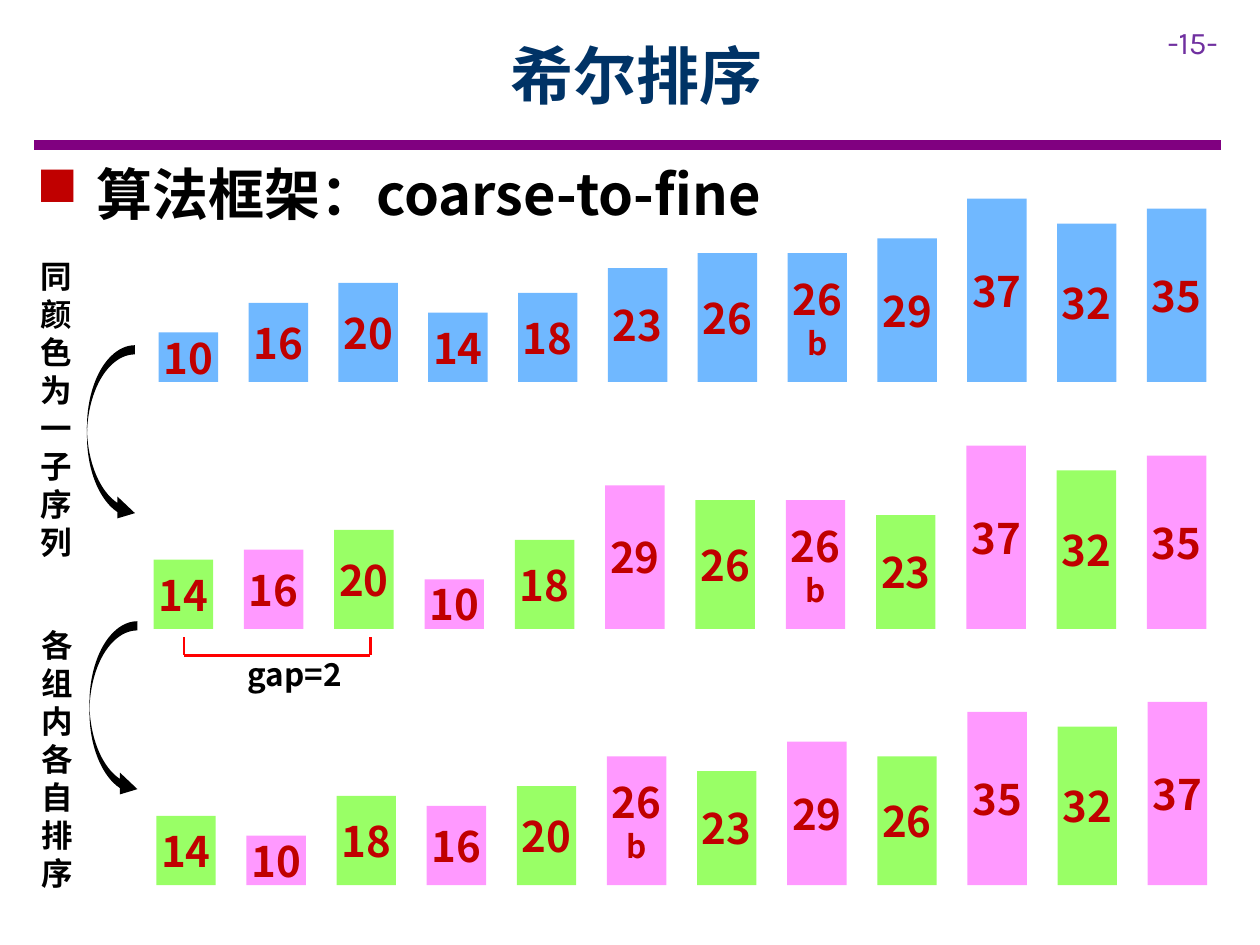
"""Build the Shell sort slide with three rows of value bars."""
from lxml import etree
from pptx import Presentation
from pptx.dml.color import RGBColor
from pptx.enum import shapes, text
from pptx.oxml import ns
from pptx.util import Pt

PURPLE = RGBColor(0x80, 0x00, 0x80)
VIOLET = RGBColor(0x70, 0x30, 0xA0)
NAVY = RGBColor(0x00, 0x33, 0x66)
BLACK = RGBColor(0x00, 0x00, 0x00)
CRIMSON = RGBColor(0xC0, 0x00, 0x00)
RED = RGBColor(0xFF, 0x00, 0x00)
BLUE = RGBColor(0x70, 0xB8, 0xFF)
GREEN = RGBColor(0x99, 0xFF, 0x66)
PINK = RGBColor(0xFF, 0x99, 0xFF)

FONT = "Noto Sans CJK SC"
BAR_WIDTH = 34
POINTS_PER_UNIT = 2.83
ROWS = [
    (90.7, 51.33, 218.3, [BLUE],
     "10 16 20 14 18 23 26 26b 29 37 32 35"),
    (87.8, 51.6, 359.4, [GREEN, PINK],
     "14 16 20 10 18 29 26 26b 23 37 32 35"),
    (89.3, 51.5, 505.8, [GREEN, PINK],
     "14 10 18 16 20 26b 23 29 26 35 32 37"),
]


def write(paragraph, content, size=18, color=BLACK, bold=True, font=FONT,
          align=text.PP_ALIGN.LEFT, spacing=None):
    """Put formatted text into a paragraph."""
    paragraph.alignment = align
    if spacing:
        paragraph.line_spacing = Pt(spacing)
    run = paragraph.add_run()
    run.text = content
    run.font.size = Pt(size)
    run.font.bold = bold
    run.font.name = font
    run.font.color.rgb = color
    east_asian = etree.SubElement(run.font._element, ns.qn("a:ea"))
    east_asian.set("typeface", font)


def add_text(slide, left, top, width, height, content, wrap=True,
             anchor=text.MSO_ANCHOR.TOP, **style):
    """Add a text box and return its paragraph."""
    frame = slide.shapes.add_textbox(
        Pt(left), Pt(top), Pt(width), Pt(height)).text_frame
    frame.word_wrap = wrap
    frame.vertical_anchor = anchor
    write(frame.paragraphs[0], content, **style)
    return frame.paragraphs[0]


def add_bullet(paragraph, indent, color):
    """Give a paragraph a square bullet with a hanging indent."""
    properties = paragraph._p.get_or_add_pPr()
    properties.set("marL", str(Pt(indent)))
    properties.set("indent", str(-Pt(indent)))
    bullet_color = etree.SubElement(properties, ns.qn("a:buClr"))
    etree.SubElement(bullet_color, ns.qn("a:srgbClr")).set("val", str(color))
    etree.SubElement(properties, ns.qn("a:buChar")).set("char", "■")


def add_line(slide, start, end, color, width):
    """Add a straight line between two points."""
    line = slide.shapes.add_connector(
        shapes.MSO_CONNECTOR.STRAIGHT, *map(Pt, start + end))
    line.line.color.rgb = color
    line.line.width = Pt(width)
    etree.SubElement(line._element.spPr, ns.qn("a:effectLst"))


def add_filled(slide, kind, left, top, width, height, color):
    """Add a preset shape with a plain fill and no outline."""
    shape = slide.shapes.add_shape(
        kind, Pt(left), Pt(top), Pt(width), Pt(height))
    shape.shadow.inherit = False
    shape.fill.solid()
    shape.fill.fore_color.rgb = color
    shape.line.fill.background()
    return shape


def add_bar(slide, left, base, label, color):
    """Add a bar whose height follows its value."""
    value = label.rstrip("b")
    height = int(value) * POINTS_PER_UNIT
    bar = add_filled(slide, shapes.MSO_SHAPE.RECTANGLE, left, base - height,
                     BAR_WIDTH, height, color)
    frame = bar.text_frame
    frame.word_wrap = True
    frame.vertical_anchor = text.MSO_ANCHOR.MIDDLE
    frame.margin_left = frame.margin_right = 0
    frame.margin_top = frame.margin_bottom = Pt(7.2)
    style = {"color": CRIMSON, "align": text.PP_ALIGN.CENTER}
    write(frame.paragraphs[0], value, size=24, **style)
    if label != value:
        write(frame.add_paragraph(), "b", size=18, **style)


def add_row(slide, left, pitch, base, colors, labels):
    """Add a row of evenly spaced bars with cycling colours."""
    for index, label in enumerate(labels.split()):
        add_bar(slide, left + index * pitch, base, label,
                colors[index % len(colors)])


def add_step(slide, arrow_left, arrow_top, label_left, label_top, label):
    """Add a curved arrow with a vertical label."""
    arrow = add_filled(slide, shapes.MSO_SHAPE.CURVED_RIGHT_ARROW,
                       arrow_left, arrow_top, 27.4, 102.2, BLACK)
    for index, value in enumerate((0.191, 0.456, 0.366)):
        arrow.adjustments[index] = value
    add_text(slide, label_left, label_top, 37.4, 7.2 + 21.7 * len(label),
             label, spacing=21.7)


def add_gap_bracket(slide, left, right, top, bottom):
    """Add the bracket that marks the gap, with its label."""
    add_line(slide, (left, bottom), (right, bottom), RED, 1.5)
    for side in (left, right):
        add_line(slide, (side, bottom), (side, top), RED, 1.5)
    add_text(slide, 134.6, 370.8, 74.2, 28.8, "gap=2", wrap=False)


def main():
    """Build and save the slide."""
    presentation = Presentation()
    presentation.slide_width, presentation.slide_height = Pt(720), Pt(540)
    slide = presentation.slides.add_slide(presentation.slide_layouts[6])
    add_line(slide, (19.6, 82.8), (697.7, 82.8), PURPLE, 6)
    add_text(slide, 660.2, 9.4, 59.8, 28.8, "-15-",
             color=VIOLET, bold=False, font="Karla")
    add_text(slide, 64.8, 6.5, 598.3, 72, "希尔排序", size=36, color=NAVY,
             align=text.PP_ALIGN.CENTER, anchor=text.MSO_ANCHOR.MIDDLE)
    heading = add_text(slide, 13.7, 87.8, 686.9, 46.1,
                       " 算法框架：coarse-to-fine", size=32)
    add_bullet(heading, 27, CRIMSON)
    add_step(slide, 49.7, 197.3, 15.8, 143.3, "同颜色为一子序列")
    add_step(slide, 51.1, 355, 16.6, 354.2, "各组内各自排序")
    add_gap_bracket(slide, 105.1, 211.7, 364.3, 374.4)
    for row in ROWS:
        add_row(slide, *row)
    presentation.save("out.pptx")


main()
